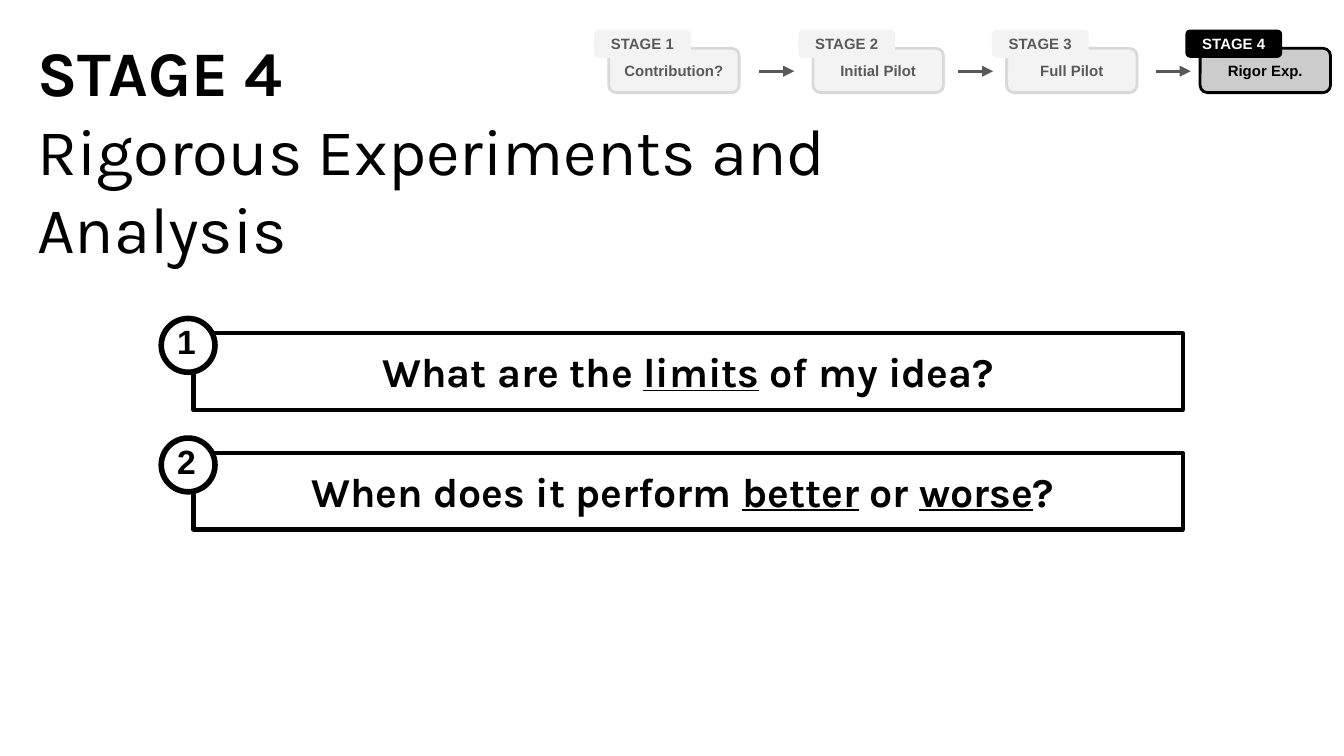
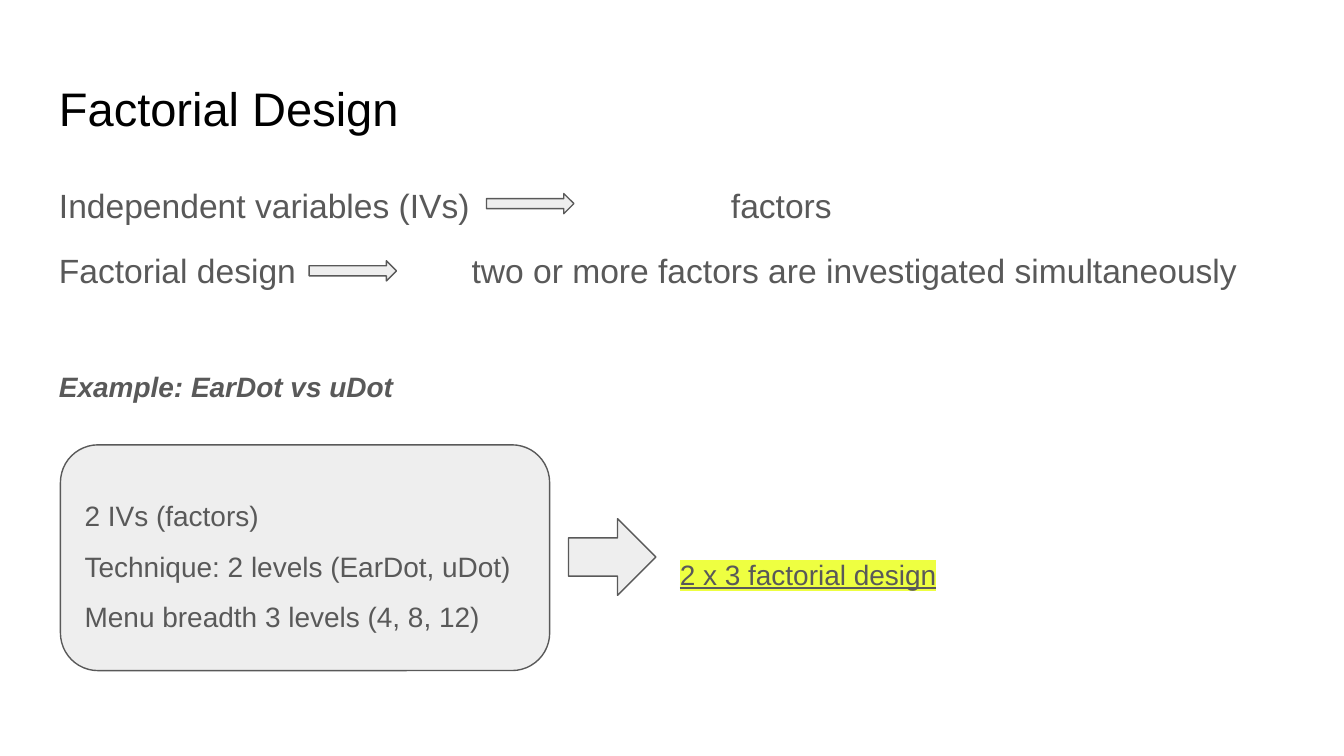
from lxml.etree import SubElement
from pptx import Presentation
from pptx.dml.color import RGBColor
from pptx.enum.shapes import MSO_CONNECTOR, MSO_SHAPE as SHAPE
from pptx.enum.text import MSO_ANCHOR as ANCHOR, PP_ALIGN as ALIGN
from pptx.oxml.ns import qn
from pptx.util import Pt

PX = 9144
BLACK = RGBColor(0x00, 0x00, 0x00)
WHITE = RGBColor(0xFF, 0xFF, 0xFF)
GREY = RGBColor(0x59, 0x59, 0x59)
MID = RGBColor(0xCC, 0xCC, 0xCC)
EDGE = RGBColor(0xD9, 0xD9, 0xD9)
PALE = RGBColor(0xF3, 0xF3, 0xF3)
PANEL = RGBColor(0xEE, 0xEE, 0xEE)
YELLOW = RGBColor(0xEE, 0xFF, 0x41)


def add_box(slide, kind, box, fill=None, line=None, width=0.75):
    box = [v * PX for v in box]
    if kind is None:
        return slide.shapes.add_textbox(*box)
    s = slide.shapes.add_shape(kind, *box)
    s.shadow.inherit = False
    if fill is None:
        s.fill.background()
    else:
        s.fill.solid()
        s.fill.fore_color.rgb = fill
    if line is None:
        s.line.fill.background()
    else:
        s.line.color.rgb = line
        s.line.width = Pt(width)
    return s


def write(s, lines, size, color, font="Arial", bold=False,
          align=ALIGN.LEFT, anchor=ANCHOR.TOP, spacing=None, tabs=()):
    tf = s.text_frame
    tf.word_wrap = True
    tf.vertical_anchor = anchor
    tf.margin_left = tf.margin_right = tf.margin_top = tf.margin_bottom = 10 * PX
    for i, line in enumerate(lines):
        p = tf.add_paragraph() if i else tf.paragraphs[0]
        p.alignment = align
        if spacing:
            p.line_spacing = spacing
        if i < len(tabs):
            stops = SubElement(p._p.get_or_add_pPr(), qn("a:tabLst"))
            SubElement(stops, qn("a:tab"), pos=str(tabs[i] * PX), algn="l")
        p.font.name = font
        p.font.size = Pt(size)
        p.font.bold = bold
        p.font.color.rgb = color
        for j, part in enumerate(line.split("_")):
            if part:
                r = p.add_run()
                r.text = part
                if j % 2:
                    r.font.underline = True
    return tf.paragraphs


prs = Presentation()
prs.slide_width = 1000 * PX
prs.slide_height = prs.slide_width * 9 // 16
blank = prs.slide_layouts[6]

slide = prs.slides.add_slide(blank)

stages = [(442, "Contribution?"), (594, "Initial Pilot"),
          (738, "Full Pilot"), (882, "Rigor Exp.")]
for n, (x, name) in enumerate(stages, 1):
    active = n == len(stages)
    s = add_box(slide, SHAPE.ROUNDED_RECTANGLE, (x + 11, 36, 97, 33),
                MID if active else PALE, BLACK if active else EDGE, 1.5)
    write(s, [name], 8, BLACK if active else GREY, bold=True,
          align=ALIGN.CENTER, anchor=ANCHOR.MIDDLE)
    s = add_box(slide, SHAPE.ROUNDED_RECTANGLE, (x, 22, 72, 21),
                BLACK if active else PALE)
    write(s, [f"STAGE {n}"], 8, WHITE if active else GREY, bold=True,
          align=ALIGN.CENTER, anchor=ANCHOR.MIDDLE)

for x in (565, 713, 860):
    s = slide.shapes.add_connector(MSO_CONNECTOR.STRAIGHT, x * PX, 53 * PX,
                                   (x + 26) * PX, 53 * PX)
    s.line.color.rgb = GREY
    s.line.width = Pt(1.5)
    SubElement(s.line._get_or_add_ln(), qn("a:tailEnd"), type="triangle")
    SubElement(s._element.spPr, qn("a:effectLst"))

s = add_box(slide, None, (18, 15, 757, 126))
stage, subtitle = write(s, ["STAGE 4", "Rigorous Experiments and Analysis"],
                        35, BLACK, "Karla")
stage.font.size = Pt(34)
stage.font.bold = True

questions = ["What are the _limits_ of my idea?",
             "When does it perform _better_ or _worse_? "]
for n, question in enumerate(questions, 1):
    y = 159 + 89 * n
    s = add_box(slide, SHAPE.RECTANGLE, (144, y, 736, 57), None, BLACK, 2.25)
    write(s, [question], 22, BLACK, "Karla", True, ALIGN.CENTER)
    add_box(slide, SHAPE.OVAL, (120, y - 11, 40, 40), WHITE, BLACK, 3)
    s = add_box(slide, None, (122, y - 19, 28, 51))
    write(s, [str(n)], 18, BLACK, bold=True)

slide = prs.slides.add_slide(blank)

s = add_box(slide, SHAPE.ROUNDED_RECTANGLE, (45, 331, 364, 168), PANEL, GREY)
write(s, ["2 IVs (factors)", "Technique: 2 levels (EarDot, uDot)",
          "Menu breadth 3 levels (4, 8, 12)"],
      15, GREY, anchor=ANCHOR.MIDDLE, spacing=1.5)

s = add_box(slide, None, (34, 49, 932, 63))
write(s, ["Factorial Design"], 25.2, BLACK)

s = add_box(slide, None, (34, 126, 932, 190))
factors, design, example = write(
    s, ["Independent variables (IVs)\tfactors",
        "Factorial design\ttwo or more factors are investigated simultaneously",
        "Example: EarDot vs uDot"],
    18, GREY, spacing=1.05, tabs=(500, 307))
design.space_before = Pt(12)
example.space_before = Pt(42)
example.space_after = Pt(12)
example.font.size = Pt(15)
example.font.bold = example.font.italic = True

for box in ((362, 144, 65, 15), (230, 194, 65, 15), (423, 386, 65, 57)):
    add_box(slide, SHAPE.RIGHT_ARROW, box, PANEL, GREY)

s = add_box(slide, None, (496, 392, 220, 45))
p, = write(s, ["_2 x 3 factorial design_"], 15, GREY, spacing=1.5)
p.space_after = Pt(12)
mark = SubElement(p.runs[0]._r.get_or_add_rPr(), qn("a:highlight"))
SubElement(mark, qn("a:srgbClr"), val=str(YELLOW))

prs.save("out.pptx")
